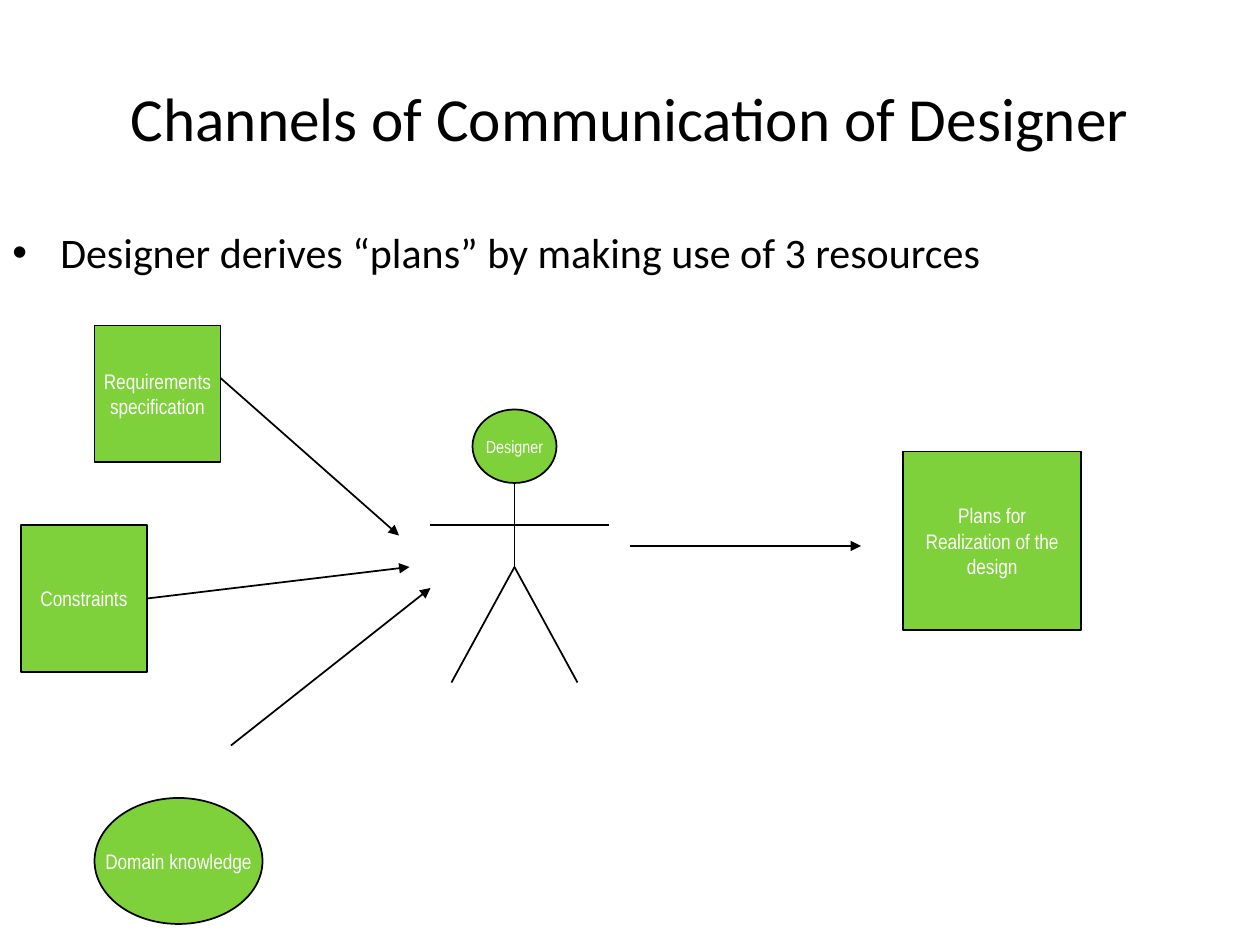
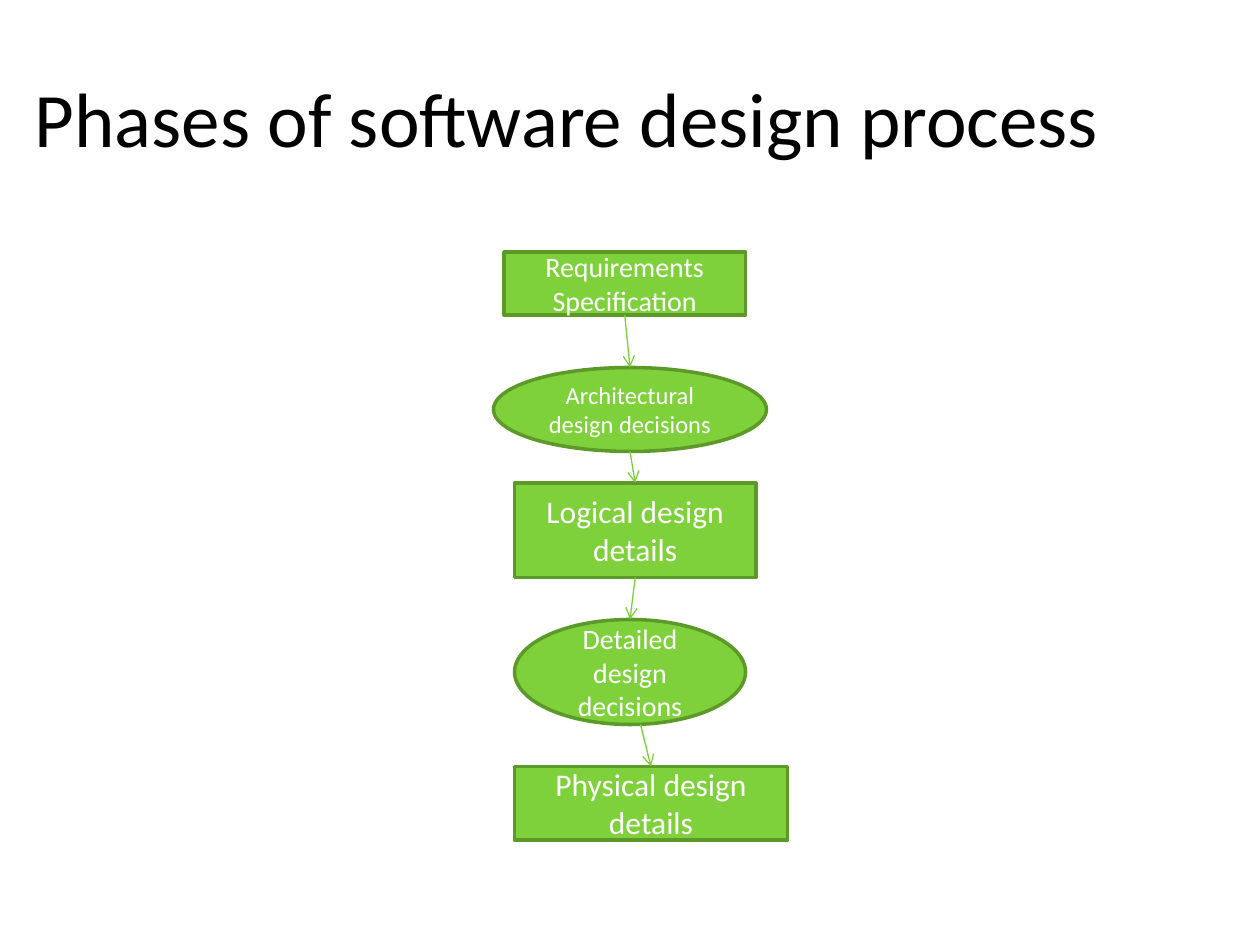
from dataclasses import dataclass
from itertools import pairwise

from lxml.etree import SubElement
from pptx import Presentation
from pptx.dml.color import RGBColor
from pptx.enum.shapes import MSO_CONNECTOR, MSO_SHAPE
from pptx.enum.text import MSO_ANCHOR, PP_ALIGN
from pptx.oxml.ns import qn
from pptx.util import Inches, Pt

COLS, ROWS = 120, 90  # grid of the slide
UNIT = Inches(10) // COLS
RECT, OVAL = MSO_SHAPE.RECTANGLE, MSO_SHAPE.OVAL


@dataclass(frozen=True)
class Theme:
    ink: str = "000000"
    paper: str = "FFFFFF"
    green: str = "7FD13B"
    edge: str = "5C9929"
    arrow: str = "7CD036"
    font: str = "Calibri"
    narrow: str = "Arial Narrow"
    title: int = 44
    long_title: int = 35
    body: int = 24
    large: int = 18
    medium: int = 16
    small: int = 14
    label: int = 12
    tiny: int = 10
    thin: float = 0.75
    line: float = 1
    thick: float = 2


THEME = Theme()


@dataclass(frozen=True)
class Box:
    """An area of the slide in grid columns and rows."""
    x: float
    y: float
    w: float
    h: float

    def inner(self, x, y, w, h):
        return Box(self.x + x, self.y + y, w, h)

    def point(self, x, y):
        return self.x + x, self.y + y

    def emu(self):
        return [round(v * UNIT) for v in (self.x, self.y, self.w, self.h)]


def write(tf, lines, size, font=THEME.font, color=THEME.ink,
          align=PP_ALIGN.CENTER, anchor=MSO_ANCHOR.MIDDLE, wrap=True):
    frame = {"word_wrap": wrap, "vertical_anchor": anchor}
    for name, value in frame.items():
        setattr(tf, name, value)
    for i, line in enumerate(lines):
        p = tf.add_paragraph() if i else tf.paragraphs[0]
        p.alignment = align
        r = p.add_run()
        r.text = line
        for name, value in {"size": Pt(size), "name": font}.items():
            setattr(r.font, name, value)
        r.font.color.rgb = RGBColor.from_string(color)


def add_node(s, box, kind, lines, size, edge, width, **text):
    sp = s.shapes.add_shape(kind, *box.emu())
    sp.shadow.inherit = False
    sp.fill.solid()
    sp.fill.fore_color.rgb = RGBColor.from_string(THEME.green)
    sp.line.color.rgb = RGBColor.from_string(edge)
    sp.line.width = Pt(width)
    write(sp.text_frame, lines, size, color=THEME.paper, **text)


def add_label_node(s, box, kind, lines, size=THEME.label):
    add_node(s, box, kind, lines, size, THEME.ink, THEME.line,
             font=THEME.narrow, wrap=False)


def add_line(s, start, end, color=THEME.ink, width=THEME.line, head=None):
    ends = [round(v * UNIT) for v in (*start, *end)]
    cx = s.shapes.add_connector(MSO_CONNECTOR.STRAIGHT, *ends)
    cx.line.color.rgb = RGBColor.from_string(color)
    cx.line.width = Pt(width)
    spPr = cx._element.spPr
    if head:
        SubElement(spPr.find(qn("a:ln")), qn("a:tailEnd"), type=head)
    SubElement(spPr, qn("a:effectLst"))


def add_title(s, text, size, left=0):
    box = Box(left, 3.6, 0.9 * COLS, 15)
    write(s.shapes.add_textbox(*box.emu()).text_frame, [text], size)


def add_bullet(s, box, text):
    tf = s.shapes.add_textbox(*box.emu()).text_frame
    pPr = tf.paragraphs[0]._p.get_or_add_pPr()
    indent = Inches(0.38)
    pPr.set("marL", str(indent))
    pPr.set("indent", str(-indent))
    SubElement(pPr, qn("a:buFont"), typeface="Arial")
    SubElement(pPr, qn("a:buChar"), char="•")
    write(tf, [text], THEME.body, align=PP_ALIGN.LEFT, anchor=MSO_ANCHOR.TOP)


def add_resources(s, box):
    """Three inputs, each with an arrow towards the designer."""
    resources = [
        (RECT, (7, 0, 12, 13), ["Requirements", "specification"], (19, 5), (36, 20)),
        (RECT, (0, 19, 12, 14), ["Constraints"], (12, 26), (37, 23)),
        (OVAL, (7, 45, 16, 12), ["Domain knowledge"], (20, 40), (39, 25)),
    ]
    for kind, place, lines, start, end in resources:
        add_label_node(s, box.inner(*place), kind, lines)
        add_line(s, box.point(*start), box.point(*end), head="triangle")


def add_stick_figure(s, box):
    neck, hip, shoulder = 7, 15, 11
    middle = 8
    add_label_node(s, box.inner(middle - 4, 0, 8, neck), OVAL, ["Designer"], THEME.tiny)
    limbs = [((middle, neck), (middle, hip)), ((0, shoulder), (box.w, shoulder))]
    limbs += [((middle, hip), (middle + side, box.h)) for side in (-6, 6)]
    for start, end in limbs:
        add_line(s, box.point(*start), box.point(*end))


def add_plans(s, box):
    """The arrow from the designer and the resulting plans."""
    add_line(s, box.point(0, 9), box.point(22, 9), head="triangle")
    add_label_node(s, box.inner(26, 0, 17, 17), RECT,
                   ["Plans for", "Realization of the", "design"])


def add_phase_flow(s, box):
    # kind, text, size, place in the flow, shift of the leaving arrow
    phases = [
        (RECT, "Requirements Specification", THEME.medium, (1, 0, 23, 6), 0),
        (OVAL, "Architectural design decisions", THEME.small, (0, 11, 26, 8), 0),
        (RECT, "Logical design details", THEME.large, (2, 22, 23, 9), 0),
        (OVAL, "Detailed design decisions", THEME.medium, (2, 35, 22, 10), 1),
        (RECT, "Physical design details", THEME.large, (2, 49, 26, 7), 0),
    ]
    for kind, text, size, place, _ in phases:
        add_node(s, box.inner(*place), kind, [text], size, THEME.edge, THEME.thick)
    for (*_, (x, y, w, h), shift), (*_, (nx, ny, nw, _), _) in pairwise(phases):
        add_line(s, box.point(x + w / 2 + shift, y + h), box.point(nx + nw / 2, ny),
                 THEME.arrow, THEME.thin, "arrow")


def build_channels_slide(s):
    add_title(s, "Channels of Communication of Designer", THEME.long_title, left=6)
    add_bullet(s, Box(0, 21, 116, 69), "Designer derives “plans” by making use of 3 resources")
    add_resources(s, Box(2, 31, 39, 57))
    add_stick_figure(s, Box(41, 39, 17, 26))
    add_plans(s, Box(60, 43, 43, 17))


def build_phases_slide(s):
    add_title(s, "Phases of software design process", THEME.title)
    add_phase_flow(s, Box(47, 24, 28, 56))


def main():
    prs = Presentation()
    prs.slide_width, prs.slide_height = COLS * UNIT, ROWS * UNIT
    blank = prs.slide_layouts[6]
    for build in (build_channels_slide, build_phases_slide):
        build(prs.slides.add_slide(blank))
    prs.save("out.pptx")


if __name__ == "__main__":
    main()
